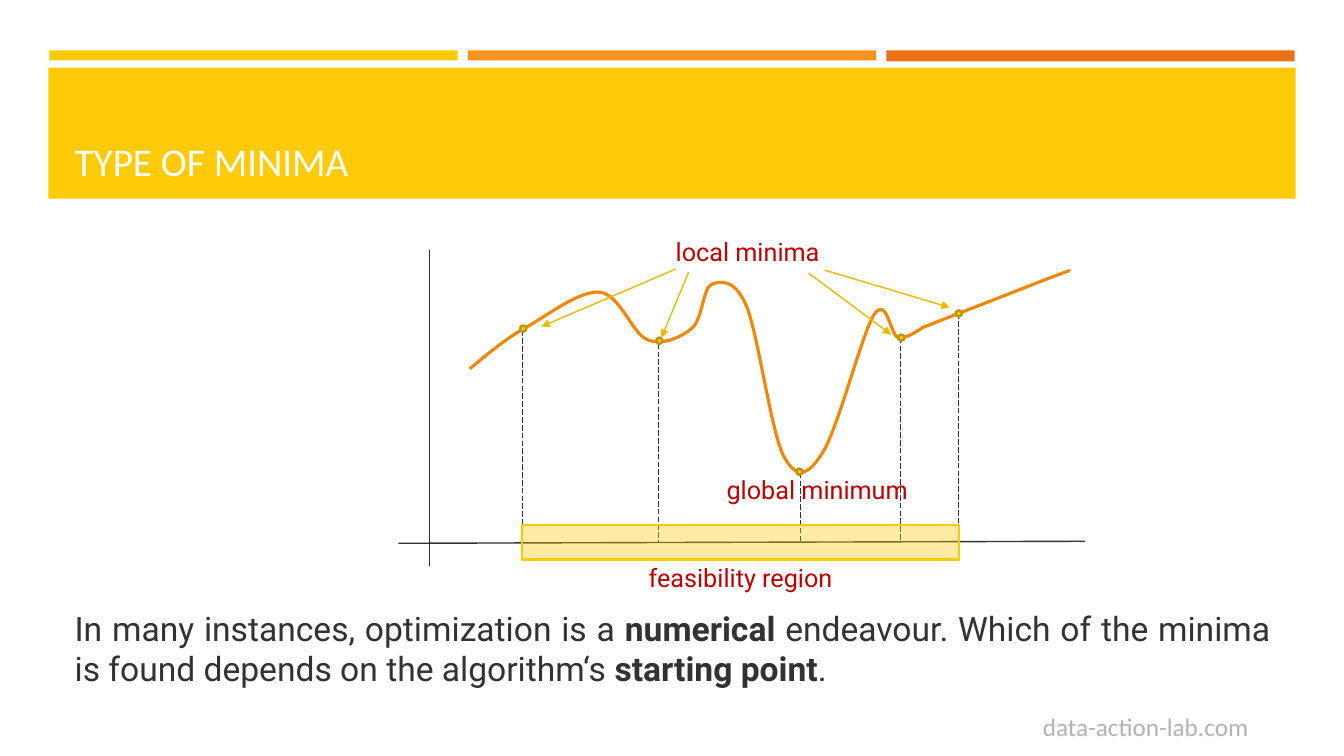
"""Build the slide on types of minima, with its annotated function curve."""
from lxml.etree import SubElement
from pptx import Presentation
from pptx.dml.color import RGBColor
from pptx.enum.dml import MSO_LINE
from pptx.enum.shapes import MSO_CONNECTOR, MSO_SHAPE
from pptx.enum.text import MSO_ANCHOR, MSO_AUTO_SIZE, PP_ALIGN
from pptx.oxml.ns import qn
from pptx.util import Inches, Pt

COLORS = {
    "yellow": "FFCA08", "amber": "F8931D", "orange": "EC7016",
    "curve": "F28607", "arrow": "EDBA00", "dot": "BD9506",
    "ink": "323232", "label": "C00000", "footer": "B3B3B3", "white": "FFFFFF",
}
LABEL = {"size": Pt(18), "name": "Roboto", "color": "label"}
FOOTER = {"size": Pt(18), "name": "Calibri", "color": "footer"}
TITLE = {"size": Pt(28), "name": "Calibri", "color": "white"}
BODY = {"size": Pt(24), "name": "Roboto", "color": "ink"}

presentation = Presentation()
presentation.slide_width = Inches(13.33)
presentation.slide_height = Inches(7.5)
slide = presentation.slides.add_slide(presentation.slide_layouts[1])
shapes = slide.shapes
title, body = shapes.title, slide.placeholders[1]


def write(shape, runs, text_format, alignment, anchor=MSO_ANCHOR.TOP):
    """Fill a shape with one paragraph of (text, bold) runs."""
    frame = shape.text_frame
    frame.word_wrap = True
    frame.auto_size = MSO_AUTO_SIZE.NONE
    frame.vertical_anchor = anchor
    paragraph = frame.paragraphs[0]
    paragraph.alignment = alignment
    paragraph.space_before = Pt(0)
    for text, bold in runs:
        run = paragraph.add_run()
        run.text = text
        run.font.bold = bold
        for attribute, value in text_format.items():
            if attribute == "color":
                run.font.color.rgb = RGBColor.from_string(COLORS[value])
            else:
                setattr(run.font, attribute, value)


def add_line(start, end, color, width):
    """Draw a straight line without a shadow."""
    connector = shapes.add_connector(
        MSO_CONNECTOR.STRAIGHT, *[Inches(value) for value in (*start, *end)])
    connector.line.color.rgb = RGBColor.from_string(COLORS[color])
    connector.line.width = Pt(width)
    SubElement(connector._element.spPr, qn("a:effectLst"))
    return connector


bands = [(0.49, 0.5, 4.05, 0.1, "yellow"), (4.64, 0.5, 4.05, 0.1, "amber"),
         (8.79, 0.5, 4.05, 0.11, "orange"), (0.48, 0.67, 12.37, 1.3, "yellow")]
for *bounds, color in bands:
    band = shapes.add_shape(MSO_SHAPE.RECTANGLE, *[Inches(value) for value in bounds])
    band.shadow.inherit = False
    band.fill.solid()
    band.fill.fore_color.rgb = RGBColor.from_string(COLORS[color])
    band.line.fill.background()

placements = [(title, (0.64, 0.77, 12.06, 1.11)), (body, (0.64, 2.38, 12.06, 4.53))]
for placeholder, bounds in placements:
    shapes._spTree.append(placeholder._element)
    for attribute, value in zip(("left", "top", "width", "height"), bounds):
        setattr(placeholder, attribute, Inches(value))

write(title, [("TYPE OF MINIMA", False)], TITLE, PP_ALIGN.LEFT, MSO_ANCHOR.BOTTOM)
body_properties = body.text_frame.paragraphs[0]._p.get_or_add_pPr()
body_properties.set("marL", "0")
body_properties.set("indent", "0")
SubElement(body_properties, qn("a:buNone"))
write(body, [
    ("In many instances, optimization is a ", False), ("numerical ", True),
    ("endeavour. Which of the minima is found depends on the algorithm‘s ", False),
    ("starting point", True), (".", False),
], BODY, PP_ALIGN.JUSTIFY, MSO_ANCHOR.BOTTOM)
body.text_frame.margin_bottom = Inches(0.08)

curve_start = (4.66, 3.66)
curve_points = [
    (4.85, 3.5), (5.03, 3.35), (5.25, 3.23),
    (5.47, 3.1), (5.76, 2.88), (5.95, 2.9),
    (6.15, 2.92), (6.27, 3.31), (6.42, 3.37),
    (6.57, 3.43), (6.75, 3.35), (6.86, 3.26),
    (6.97, 3.17), (6.97, 2.86), (7.06, 2.82),
    (7.15, 2.79), (7.29, 2.76), (7.41, 3.05),
    (7.52, 3.33), (7.65, 4.28), (7.77, 4.52),
    (7.9, 4.76), (8.01, 4.73), (8.16, 4.49),
    (8.31, 4.26), (8.55, 3.31), (8.67, 3.12),
    (8.8, 2.93), (8.83, 3.33), (8.91, 3.35),
    (8.99, 3.37), (9.15, 3.25), (9.15, 3.25),
    (9.56, 3.09), (9.97, 2.93), (10.38, 2.77),
    (10.62, 2.68), (10.61, 2.68), (10.61, 2.69),
]
builder = shapes.build_freeform(*[Inches(value) for value in curve_start])
builder.add_line_segments([(Inches(x), Inches(y)) for x, y in curve_points], close=False)
curve = builder.convert_to_shape()
outline = next(curve._element.iter(qn("a:path")))
segments = outline.findall(qn("a:lnTo"))
for first in range(0, len(segments), 3):
    bezier = SubElement(outline, qn("a:cubicBezTo"))
    for segment in segments[first:first + 3]:
        bezier.append(segment[0])
        outline.remove(segment)
curve.height = Inches(2)
outline.set("h", str(Inches(2)))
curve.shadow.inherit = False
curve.fill.background()
curve.line.color.rgb = RGBColor.from_string(COLORS["curve"])
curve.line.width = Pt(2.25)

add_line((4.26, 2.48), (4.26, 5.62), "ink", 1)
add_line((10.76, 5.37), (3.95, 5.39), "ink", 1)
drop_lines = [(5.18, 3.28), (6.53, 3.41), (7.94, 4.69), (8.93, 3.35), (9.51, 3.11)]
for x, y in drop_lines:
    drop_line = add_line((x, y), (x, 5.39), "ink", 0.5)
    drop_line.line.dash_style = MSO_LINE.LONG_DASH

region = shapes.add_shape(
    MSO_SHAPE.RECTANGLE, Inches(5.18), Inches(5.21), Inches(4.33), Inches(0.34))
dot_corners = [(5.16, 3.23), (6.51, 3.35), (9.48, 3.08), (8.91, 3.32), (7.9, 4.65)]
dot_size = Inches(0.06)
dots = [shapes.add_shape(MSO_SHAPE.OVAL, Inches(left), Inches(top), dot_size, dot_size)
        for left, top in dot_corners]
for shape, color in [(region, "yellow")] + [(dot, "dot") for dot in dots]:
    shape.shadow.inherit = False
    shape.fill.solid()
    shape.fill.fore_color.rgb = RGBColor.from_string(COLORS["yellow"])
    shape.line.color.rgb = RGBColor.from_string(COLORS[color])
    shape.line.width = Pt(1.75)
region_color = region._element.spPr.find(qn("a:solidFill")).find(qn("a:srgbClr"))
SubElement(region_color, qn("a:alpha")).set("val", "37000")

captions = [
    ("feasibility region", 5.54, 5.53, 3.61, LABEL, PP_ALIGN.CENTER),
    ("local minima", 5.61, 2.3, 3.61, LABEL, PP_ALIGN.CENTER),
    ("global minimum", 6.3, 4.66, 3.61, LABEL, PP_ALIGN.CENTER),
    ("data-action-lab.com", 9.88, 7.01, 2.6, FOOTER, PP_ALIGN.RIGHT),
]
for text, left, top, width, text_format, alignment in captions:
    caption = shapes.add_textbox(Inches(left), Inches(top), Inches(width), Inches(0.4))
    write(caption, [(text, False)], text_format, alignment)

arrows = [((6.83, 2.7), (6.56, 3.35)), ((8.02, 2.71), (8.84, 3.32)),
          ((6.7, 2.67), (5.37, 3.24)), ((8.18, 2.68), (9.42, 3.05))]
for start, end in arrows:
    arrow = add_line(start, end, "arrow", 1)
    SubElement(arrow.line._get_or_add_ln(), qn("a:tailEnd")).set("type", "triangle")

presentation.save("out.pptx")
